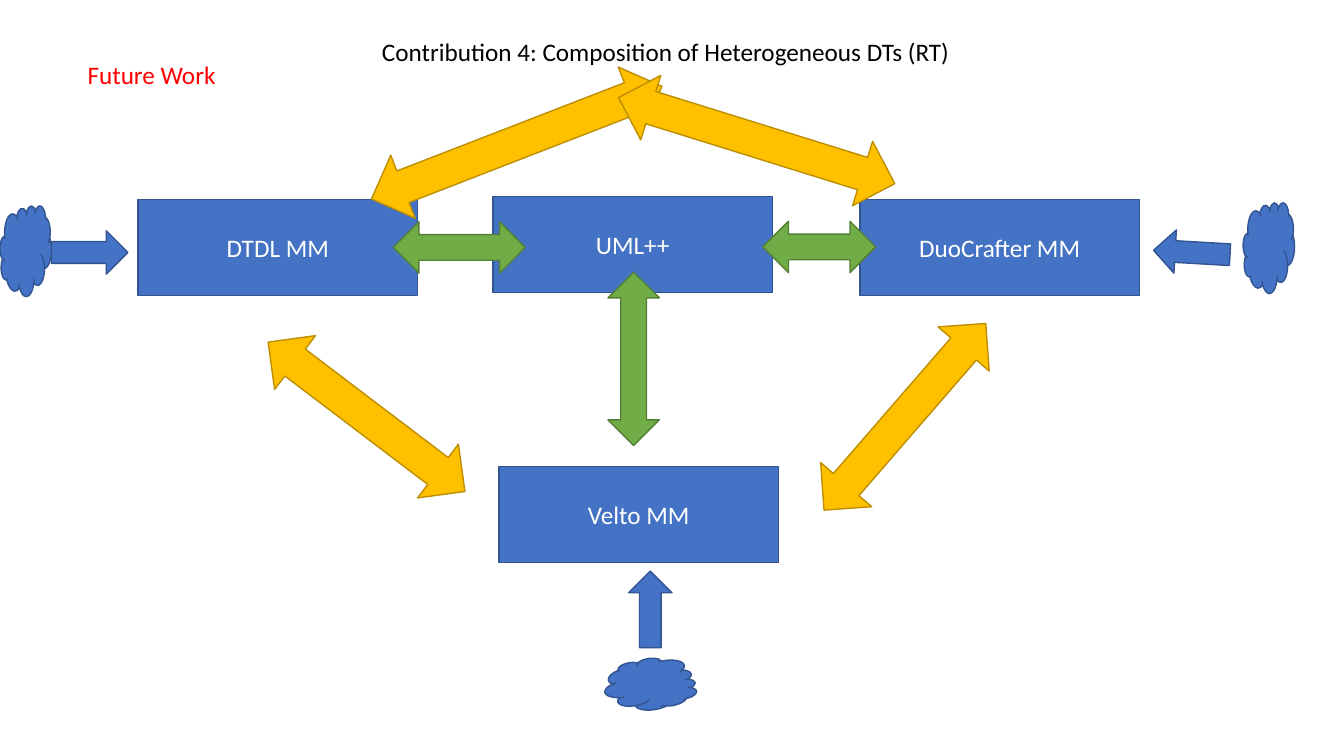
from pptx import Presentation
from pptx.dml.color import RGBColor
from pptx.enum.shapes import MSO_SHAPE
from pptx.enum.text import MSO_ANCHOR, MSO_AUTO_SIZE, PP_ALIGN
from pptx.util import Inches, Pt

RECTANGLE, CLOUD = MSO_SHAPE.RECTANGLE, MSO_SHAPE.CLOUD
RIGHT_ARROW = MSO_SHAPE.RIGHT_ARROW
UP_DOWN_ARROW, LEFT_RIGHT_ARROW = MSO_SHAPE.UP_DOWN_ARROW, MSO_SHAPE.LEFT_RIGHT_ARROW
MIDDLE, CENTER, LEFT = MSO_ANCHOR.MIDDLE, PP_ALIGN.CENTER, PP_ALIGN.LEFT
FIT_SHAPE = MSO_AUTO_SIZE.SHAPE_TO_FIT_TEXT

SLIDE_WIDTH, SLIDE_HEIGHT = Inches(13.33), Inches(7.5)
COLUMNS, ROWS = 133.3, 75
BLUE, GREEN, YELLOW = ("4472C4", "325491"), ("70AD47", "538035"), ("FFC000", "BD8E00")

BOX_SIZE, FEED_SIZE, CLOUD_SIZE = (27.7, 9.5), (7.6, 4.3), (5.1, 9)
BRIDGE_WIDTH, LINK_HEIGHT = 5.1, 6.7

METAMODELS = [
    ("DTDL MM", (27.55, 24.55)),
    ("Velto MM", (63.35, 51.05)),
    ("DuoCrafter MM", (99.15, 24.55)),
    ("UML++", (62.75, 24.25)),
]
FEEDS = [((8.9, 25.05), 0), ((118.2, 25.05), 183.3), ((64.5, 60.45), 270)]
CLOUDS = [((2.55, 24.9), 0), ((125.85, 24.6), 0), ((64.45, 67.9), 80.8)]
BRIDGES = [((62.85, 35.6), 17.2, 0), ((45.55, 24.55), 13.1, 90), ((81.25, 24.5), 11.2, 90)]
LINKS = [
    ((36.35, 41.35), 24.5, 37.2),
    ((89.75, 41.35), 24.5, 310.9),
    ((51.25, 14.15), 30.9, 338.8),
    ((75.05, 13.95), 28.7, 17.3),
]


def color(value):
    """Turn a hex string into a colour."""
    return RGBColor.from_string(value)


def column(count):
    """Return the width of a number of grid columns."""
    return round(SLIDE_WIDTH * count / COLUMNS)


def row(count):
    """Return the height of a number of grid rows."""
    return round(SLIDE_HEIGHT * count / ROWS)


def write(shape, text, text_color, alignment):
    """Write one line of text into a shape."""
    shape.text_frame.word_wrap = True
    paragraph = shape.text_frame.paragraphs[0]
    paragraph.text = text
    paragraph.alignment = alignment
    paragraph.font.name = "Calibri"
    paragraph.font.size = Pt(18)
    paragraph.font.color.rgb = color(text_color)


def add_block(slide, preset, center, size, colors, rotation=0):
    """Add a filled, outlined shape around a centre point."""
    (x, y), (width, height), (fill, line) = center, size, colors
    shape = slide.shapes.add_shape(
        preset, column(x - width / 2), row(y - height / 2), column(width), row(height))
    shape.rotation = rotation
    shape.shadow.inherit = False
    shape.fill.solid()
    shape.fill.fore_color.rgb = color(fill)
    shape.line.color.rgb = color(line)
    shape.line.width = Pt(1)
    return shape


def add_metamodel(slide, name, center):
    """Add a labelled metamodel box."""
    box = add_block(slide, RECTANGLE, center, BOX_SIZE, BLUE)
    box.text_frame.vertical_anchor = MIDDLE
    write(box, name, "FFFFFF", CENTER)


def add_caption(slide, text, left, top, width, text_color):
    """Add a free line of text."""
    caption = slide.shapes.add_textbox(column(left), row(top), column(width), row(4))
    write(caption, text, text_color, LEFT)
    caption.text_frame.auto_size = FIT_SHAPE


def main():
    """Build the slide and save it."""
    presentation = Presentation()
    presentation.slide_width, presentation.slide_height = SLIDE_WIDTH, SLIDE_HEIGHT
    slide = presentation.slides.add_slide(presentation.slide_layouts[6])
    for name, center in METAMODELS:
        add_metamodel(slide, name, center)
    for center, rotation in FEEDS:
        add_block(slide, RIGHT_ARROW, center, FEED_SIZE, BLUE, rotation)
    for center, rotation in CLOUDS:
        add_block(slide, CLOUD, center, CLOUD_SIZE, BLUE, rotation)
    for center, length, rotation in BRIDGES:
        add_block(slide, UP_DOWN_ARROW, center, (BRIDGE_WIDTH, length), GREEN, rotation)
    for center, length, rotation in LINKS:
        add_block(slide, LEFT_RIGHT_ARROW, center, (length, LINK_HEIGHT), YELLOW, rotation)
    add_caption(slide, "Contribution 4: Composition of Heterogeneous DTs (RT)",
                36.9, 3.1, 67, "000000")
    add_caption(slide, "Future Work", 7.7, 5.4, 19.1, "FF0000")
    presentation.save("out.pptx")


main()
